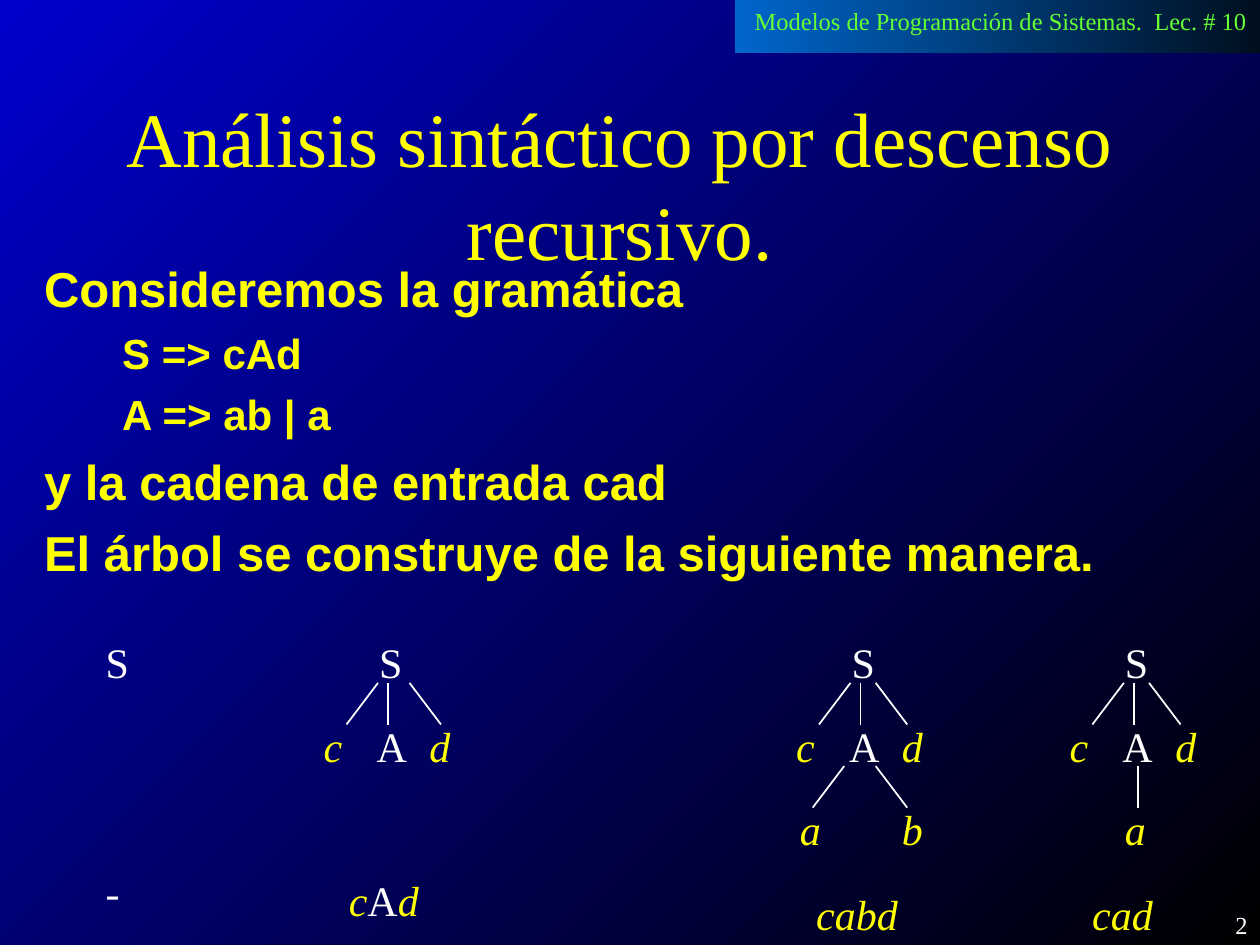
from dataclasses import dataclass
from itertools import groupby

from lxml.etree import SubElement
from pptx import Presentation
from pptx.dml.color import RGBColor
from pptx.enum.shapes import MSO_CONNECTOR, MSO_SHAPE
from pptx.enum.text import MSO_ANCHOR, MSO_AUTO_SIZE, PP_ALIGN
from pptx.oxml.ns import qn
from pptx.util import Inches, Pt


@dataclass(frozen=True)
class Theme:
    serif: str = "Times New Roman"
    sans: str = "Arial"
    yellow: RGBColor = RGBColor(0xFF, 0xFF, 0x00)
    white: RGBColor = RGBColor(0xFF, 0xFF, 0xFF)
    green: RGBColor = RGBColor(0x66, 0xFF, 0x33)
    backdrop: tuple = (RGBColor(0, 0, 0), RGBColor(0, 0, 0xCC))
    banner: tuple = (RGBColor(0, 0x0F, 0x1F), RGBColor(0, 0x66, 0xCC))
    title_size: int = 44
    body_sizes: tuple = (28, 24)
    symbol_size: int = 24
    small_size: int = 14


class SlideBuilder:
    def __init__(self, page, theme):
        self.page = page
        self.theme = theme

    def style(self, font, size, color, name=None, bold=False, italic=False):
        font.name = name or self.theme.serif
        font.size = Pt(size)
        font.color.rgb = color
        font.bold = bold
        font.italic = italic

    def gradient(self, fill, colors, angle):
        fill.gradient()
        fill.gradient_angle = angle
        for stop, color in zip(fill.gradient_stops, colors):
            stop.color.rgb = color

    def background(self):
        self.gradient(self.page.background.fill, self.theme.backdrop, 135)

    def banner(self, left, top, width, height):
        band = self.page.shapes.add_shape(
            MSO_SHAPE.RECTANGLE, Inches(left), Inches(top), Inches(width), Inches(height))
        band.shadow.inherit = False
        band.line.fill.background()
        self.gradient(band.fill, self.theme.banner, 180)

    def place(self, holder, left, top, width, height):
        holder.left, holder.top = Inches(left), Inches(top)
        holder.width, holder.height = Inches(width), Inches(height)
        frame = holder.text_frame
        frame.word_wrap = True
        frame.auto_size = MSO_AUTO_SIZE.NONE
        frame.vertical_anchor = MSO_ANCHOR.TOP
        return frame

    def title(self, text, *bounds):
        frame = self.place(self.page.shapes.title, *bounds)
        frame.text = text
        para = frame.paragraphs[0]
        para.alignment = PP_ALIGN.CENTER
        self.style(para.font, self.theme.title_size, self.theme.yellow)

    def body(self, lines, *bounds):
        frame = self.place(self.page.placeholders[1], *bounds)
        frame.text = "\n".join(text for _, text in lines)
        for index, (para, (level, _)) in enumerate(zip(frame.paragraphs, lines)):
            para.level = level
            para.alignment = PP_ALIGN.JUSTIFY
            para.space_before = Pt((7, 6)[level] if index else 0)
            margin, hanging = ((0.42, 0.42), (1.24, 0.62))[level]
            properties = para._p.get_or_add_pPr()
            properties.set("marL", str(Inches(margin)))
            properties.set("indent", str(-Inches(hanging)))
            SubElement(properties, qn("a:buNone"))
            self.style(para.font, self.theme.body_sizes[level], self.theme.yellow,
                       self.theme.sans, bold=True)

    def label(self, text, left, top, width, height, color, align=PP_ALIGN.LEFT):
        box = self.page.shapes.add_textbox(
            Inches(left), Inches(top), Inches(width), Inches(height))
        box.text_frame.word_wrap = align == PP_ALIGN.RIGHT
        para = box.text_frame.paragraphs[0]
        para.text = text
        para.alignment = align
        self.style(para.font, self.theme.small_size, color)

    def symbols(self, text, left, top, width, parent=None):
        """Terminals (lower case) are yellow italics, everything else is white."""
        box = (parent or self.page).shapes.add_textbox(
            Inches(left), Inches(top), Inches(width), Inches(0.5))
        box.text_frame.word_wrap = False
        para = box.text_frame.paragraphs[0]
        pieces = [(terminal, "".join(part)) for terminal, part in groupby(text, str.islower)]
        for terminal, piece in pieces:
            span = para.add_run()
            span.text = piece
            font = span.font if len(pieces) > 1 else para.font
            color = self.theme.yellow if terminal else self.theme.white
            self.style(font, self.theme.symbol_size, color, italic=terminal)

    def branch(self, parent, start_x, start_y, end_x, end_y):
        line = parent.shapes.add_connector(
            MSO_CONNECTOR.STRAIGHT, Inches(start_x), Inches(start_y),
            Inches(end_x), Inches(end_y))
        line.line.color.rgb = self.theme.white
        line.line.width = Pt(1)
        SubElement(line._element.spPr, qn("a:effectLst"))

    def tree(self, left, nodes, branches):
        """Nodes and branches are (row, offsets from the left of the root S)."""
        group = self.page.shapes.add_group_shape()
        for row, offset, text in nodes:
            self.symbols(text, left + offset, ROW_TOPS[row], NODE_WIDTHS[text], group)
        for row, upper, lower in branches:
            top = BRANCH_TOPS[row]
            self.branch(group, left + upper, top, left + lower, top + 0.33)


ROW_TOPS = (5, 5.67, 6.33)
BRANCH_TOPS = (5.42, 6.08)
NODE_WIDTHS = {"S": 0.38, "A": 0.43, "c": 0.36, "d": 0.39, "a": 0.39, "b": 0.39}

# First derivation step, shared by all trees
ROOT_NODES = [(0, 0, "S"), (1, -0.44, "c"), (1, -0.02, "A"), (1, 0.4, "d")]
ROOT_BRANCHES = [(0, 0.09, -0.16), (0, 0.17, 0.17)]
WIDE_RIGHT = [(0, 0.34, 0.59)]
NARROW_RIGHT = [(0, 0.29, 0.54)]

# Root position, extra nodes and extra branches of each tree
TREES = [
    (2.91, [], WIDE_RIGHT),
    (6.66, [(2, -0.41, "a"), (2, 0.4, "b")],
     NARROW_RIGHT + [(1, 0.04, -0.21), (1, 0.29, 0.54)]),
    (8.83, [(2, 0, "a")], NARROW_RIGHT + [(1, 0.2, 0.2)]),
]

GRAMMAR = [
    (0, "Consideremos la gramática"),
    (1, "S => cAd"),
    (1, "A => ab | a"),
    (0, "y la cadena de entrada cad"),
    (0, "El árbol se construye de la siguiente manera."),
]


def main():
    deck = Presentation()
    deck.slide_width, deck.slide_height = Inches(10), Inches(7.5)
    theme = Theme()
    builder = SlideBuilder(deck.slides.add_slide(deck.slide_layouts[1]), theme)

    # Backdrop and course banner
    builder.background()
    builder.banner(5.83, 0, 4.17, 0.42)
    builder.label("Modelos de Programación de Sistemas.  Lec. # 10",
                  5.89, 0, 4.11, 0.34, theme.green)

    # Title and grammar
    builder.title("Análisis sintáctico por descenso recursivo.", 0.17, 0.67, 9.5, 0.83)
    builder.body(GRAMMAR, 0.25, 2, 9.42, 2.75)

    # Parse trees, starting with the lone root
    builder.symbols("S", 0.74, ROW_TOPS[0], NODE_WIDTHS["S"])
    for left, nodes, branches in TREES:
        builder.tree(left, ROOT_NODES + nodes, ROOT_BRANCHES + branches)

    # String derived by each tree
    for text, left, top, width in (("-", 0.74, 6.83, 0.3), ("cAd", 2.67, 6.89, 0.79),
                                   ("cabd", 6.38, 7, 0.93), ("cad", 8.57, 7, 0.75)):
        builder.symbols(text, left, top, width)

    # Page number
    builder.label("2", 7.92, 7.17, 2.08, 0.33, theme.white, PP_ALIGN.RIGHT)

    deck.save("out.pptx")


if __name__ == "__main__":
    main()
